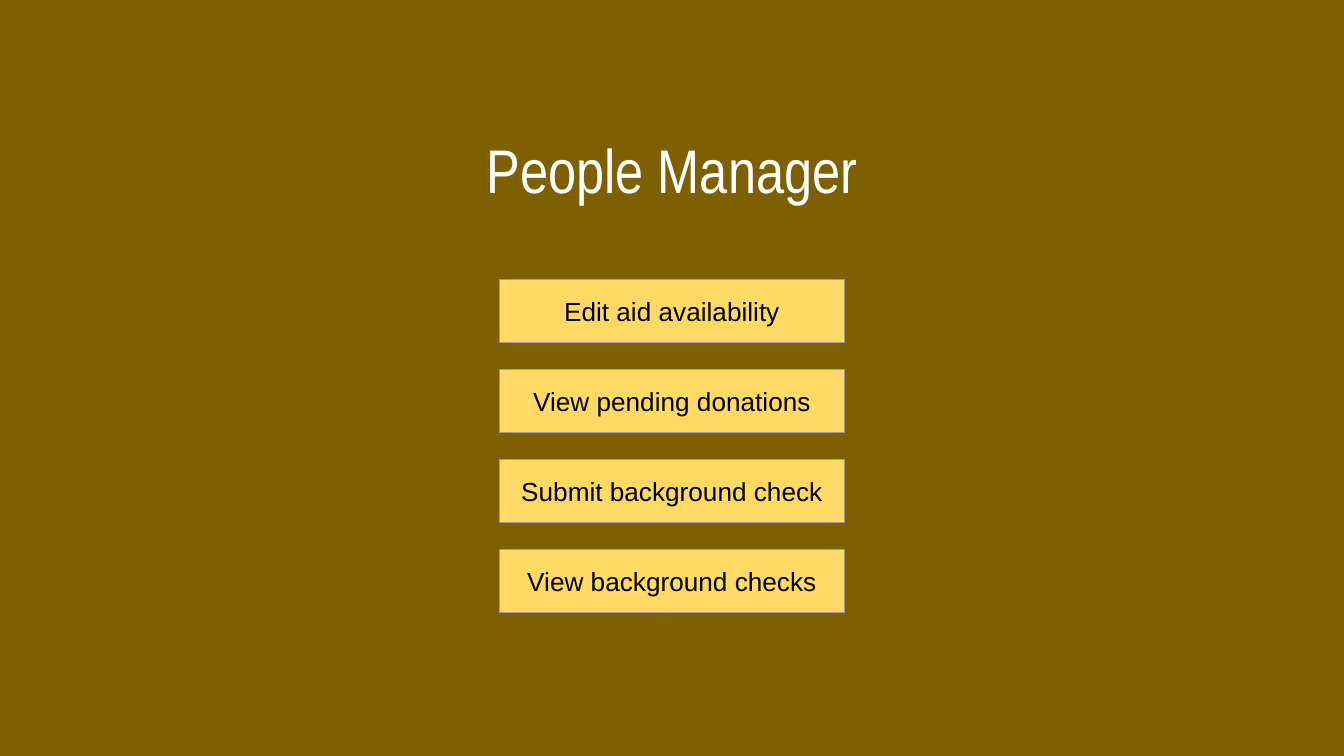
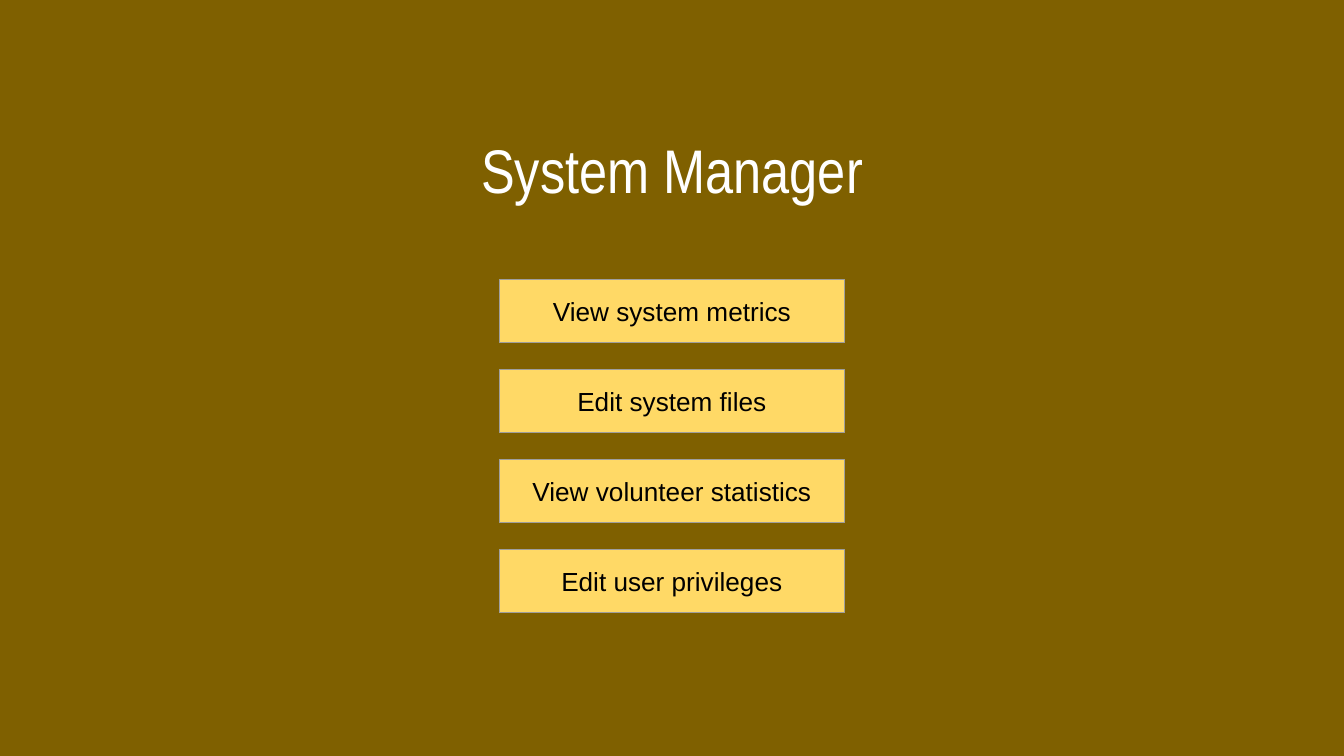
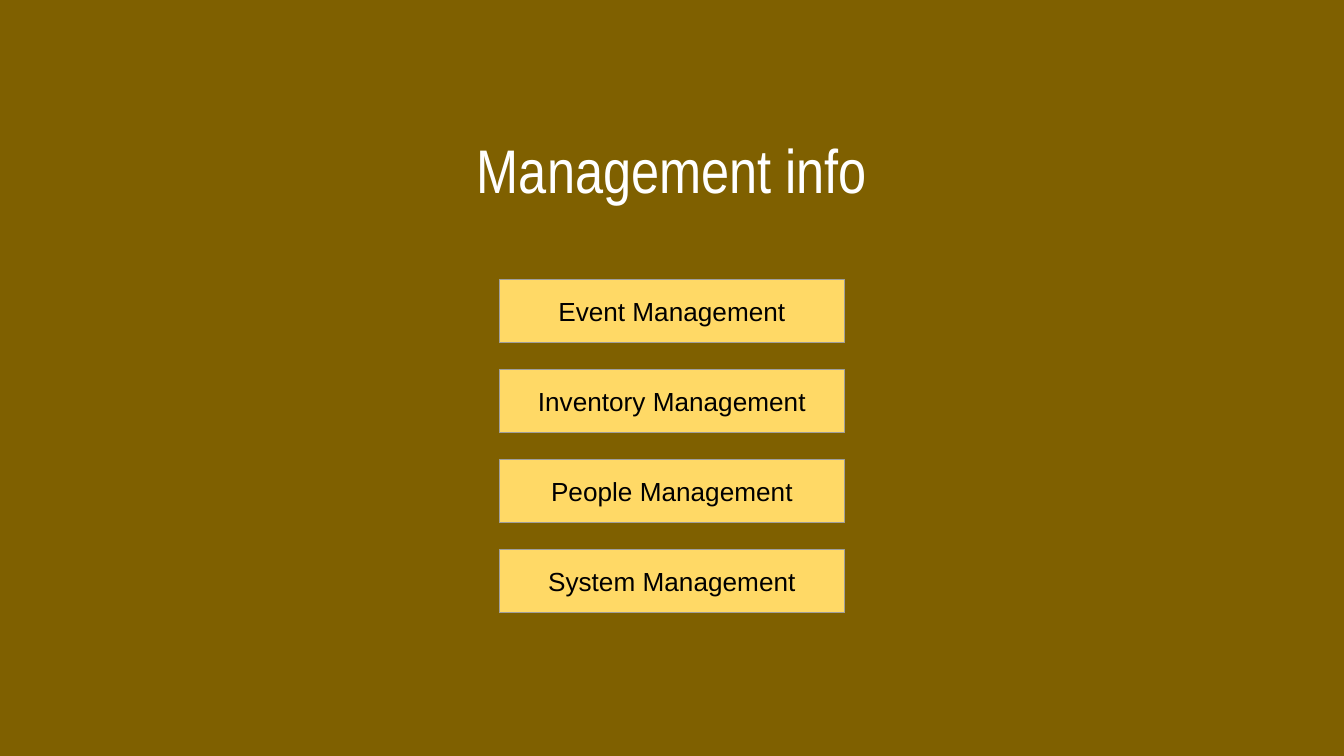
from dataclasses import dataclass

from pptx import Presentation
from pptx.dml.color import RGBColor
from pptx.enum.shapes import MSO_SHAPE
from pptx.enum.text import MSO_ANCHOR, PP_ALIGN
from pptx.util import Inches, Pt

MENUS = [
    ("People Manager", [
        "Edit aid availability",
        "View pending donations",
        "Submit background check",
        "View background checks",
    ]),
    ("System Manager", [
        "View system metrics",
        "Edit system files",
        "View volunteer statistics",
        "Edit user privileges",
    ]),
    ("Management info", [
        "Event Management",
        "Inventory Management",
        "People Management",
        "System Management",
    ]),
]


@dataclass(frozen=True)
class Theme:
    background: str = "7F6000"
    button_fill: str = "FFD966"
    button_line: str = "9E9E9E"
    title_color: str = "FFFFFF"
    button_color: str = "000000"
    title_font: str = "Arial Narrow"
    button_font: str = "Arial"
    title_size: int = 33
    button_size: int = 14
    line_width: float = 0.75


THEME = Theme()

PAGE_WIDTH = Inches(10)
PAGE_HEIGHT = PAGE_WIDTH * 9 // 16
TITLE_TOP, TITLE_WIDTH, TITLE_HEIGHT = Inches(0.88), Inches(4.75), Inches(4.09)
BUTTON_TOP, BUTTON_WIDTH, BUTTON_HEIGHT = Inches(2.08), Inches(2.57), Inches(0.47)
BUTTON_PITCH = Inches(0.67)
INSET = Inches(0.1)


def color(value):
    return RGBColor.from_string(value)


def centered_left(width):
    return (PAGE_WIDTH - width) // 2


def write_centered(box, text, font, size, ink, anchor):
    frame = box.text_frame
    frame.word_wrap = True
    frame.vertical_anchor = anchor
    frame.margin_left = frame.margin_right = INSET
    frame.margin_top = frame.margin_bottom = INSET
    para = frame.paragraphs[0]
    para.alignment = PP_ALIGN.CENTER
    span = para.add_run()
    span.text = text
    span.font.name = font
    span.font.size = Pt(size)
    span.font.color.rgb = color(ink)


def add_title(page, text):
    box = page.shapes.add_textbox(
        centered_left(TITLE_WIDTH), TITLE_TOP, TITLE_WIDTH, TITLE_HEIGHT)
    write_centered(box, text, THEME.title_font, THEME.title_size,
                   THEME.title_color, MSO_ANCHOR.TOP)


def add_button(page, row, label):
    button = page.shapes.add_shape(
        MSO_SHAPE.RECTANGLE, centered_left(BUTTON_WIDTH),
        BUTTON_TOP + row * BUTTON_PITCH, BUTTON_WIDTH, BUTTON_HEIGHT)
    button.shadow.inherit = False
    button.fill.solid()
    button.fill.fore_color.rgb = color(THEME.button_fill)
    button.line.color.rgb = color(THEME.button_line)
    button.line.width = Pt(THEME.line_width)
    write_centered(button, label, THEME.button_font, THEME.button_size,
                   THEME.button_color, MSO_ANCHOR.MIDDLE)


def add_menu_page(deck, title, labels):
    page = deck.slides.add_slide(deck.slide_layouts[6])
    page.background.fill.solid()
    page.background.fill.fore_color.rgb = color(THEME.background)
    add_title(page, title)
    for row, label in enumerate(labels):
        add_button(page, row, label)


def main():
    deck = Presentation()
    deck.slide_width = PAGE_WIDTH
    deck.slide_height = PAGE_HEIGHT
    for title, labels in MENUS:
        add_menu_page(deck, title, labels)
    deck.save("out.pptx")


if __name__ == "__main__":
    main()
